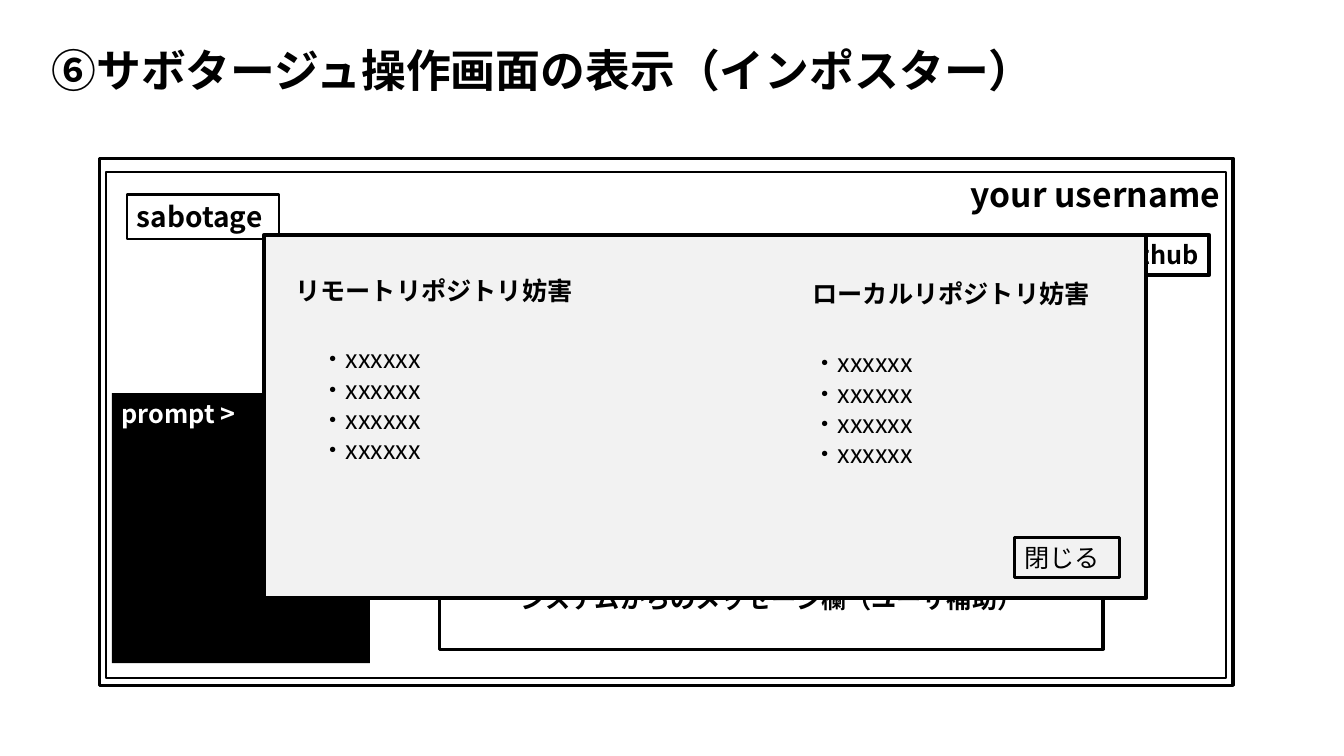
from pptx import Presentation
from pptx.dml.color import RGBColor
from pptx.enum import shapes, text
from pptx.oxml.ns import qn
from pptx.util import Inches, Pt

BLACK = RGBColor(0x00, 0x00, 0x00)
WHITE = RGBColor(0xFF, 0xFF, 0xFF)
LIGHT_GREY = RGBColor(0xF2, 0xF2, 0xF2)
FONT = "Noto Sans CJK JP"
LEFT, CENTER, RIGHT = text.PP_ALIGN.LEFT, text.PP_ALIGN.CENTER, text.PP_ALIGN.RIGHT
TOP, MIDDLE = text.MSO_ANCHOR.TOP, text.MSO_ANCHOR.MIDDLE


def write(shape, lines, size=18, color=BLACK, bold=True, align=LEFT, anchor=TOP):
    frame = shape.text_frame
    frame.text = "\n".join(lines)
    frame.word_wrap = True
    frame.auto_size = text.MSO_AUTO_SIZE.NONE
    frame.vertical_anchor = anchor
    for paragraph in frame.paragraphs:
        paragraph.alignment = align
        run = paragraph.runs[0]
        for name, value in {"name": FONT, "size": Pt(size), "bold": bold}.items():
            setattr(run.font, name, value)
        run.font.color.rgb = color
        east_asian = run.font._element.makeelement(qn("a:ea"), {"typeface": FONT})
        run.font._element.find(qn("a:latin")).addnext(east_asian)


def add_box(left, top, width, height, line_width=0, fill=None):
    """Add a rectangle, with no outline or fill unless given."""
    box = slide.shapes.add_shape(
        shapes.MSO_SHAPE.RECTANGLE,
        Inches(left), Inches(top), Inches(width), Inches(height))
    box.shadow.inherit = False
    if fill is None:
        box.fill.background()
    else:
        box.fill.solid()
        box.fill.fore_color.rgb = fill
    if line_width:
        box.line.color.rgb = BLACK
        box.line.width = Pt(line_width)
    else:
        box.line.fill.background()
    return box


presentation = Presentation()
presentation.slide_width = Inches(13.33)
presentation.slide_height = Inches(7.5)
slide = presentation.slides.add_slide(presentation.slide_layouts[5])

title = slide.shapes.title
title.left, title.top = Inches(0.41), Inches(0.37)
title.width, title.height = Inches(10.73), Inches(0.64)
write(title, ["⑥サボタージュ操作画面の表示（インポスター）"], size=32)

# Game screen behind the dialog
add_box(0.99, 1.57, 11.24, 5.23, line_width=2.25)
add_box(1.11, 3.9, 2.56, 2.68, fill=BLACK)
write(add_box(1.11, 3.9, 1.67, 0.4), ["prompt >"], color=WHITE)
write(add_box(9.53, 1.68, 2.82, 0.5), ["your username"], size=24)
write(add_box(10.98, 2.33, 1.01, 0.4, line_width=3), ["lithub"], align=RIGHT)
write(add_box(4.36, 5.43, 6.58, 1.01, line_width=2.25),
      ["システムからのメッセージ欄（ユーザ補助）"], align=CENTER, anchor=MIDDLE)
add_box(1.05, 1.71, 11.11, 5.02, line_width=1.5)
write(add_box(1.26, 1.93, 1.51, 0.44, line_width=1.5), ["sabotage"], size=20)

# Sabotage dialog
add_box(2.62, 2.33, 8.75, 3.6, line_width=3, fill=LIGHT_GREY)
sabotage_groups = [
    ("リモートリポジトリ妨害", 2.83, 2.68, 3.08, 3.36),
    ("ローカルリポジトリ妨害", 7.96, 2.71, 7.96, 3.4),
]
for heading, heading_left, heading_top, list_left, list_top in sabotage_groups:
    write(add_box(heading_left, heading_top, 3.14, 0.4), [heading])
    write(add_box(list_left, list_top, 2.93, 1.31), ["・xxxxxx"] * 4, bold=False)
write(add_box(10.06, 5.33, 1.04, 0.4, line_width=2.25), ["閉じる"], bold=False)

presentation.save("out.pptx")
